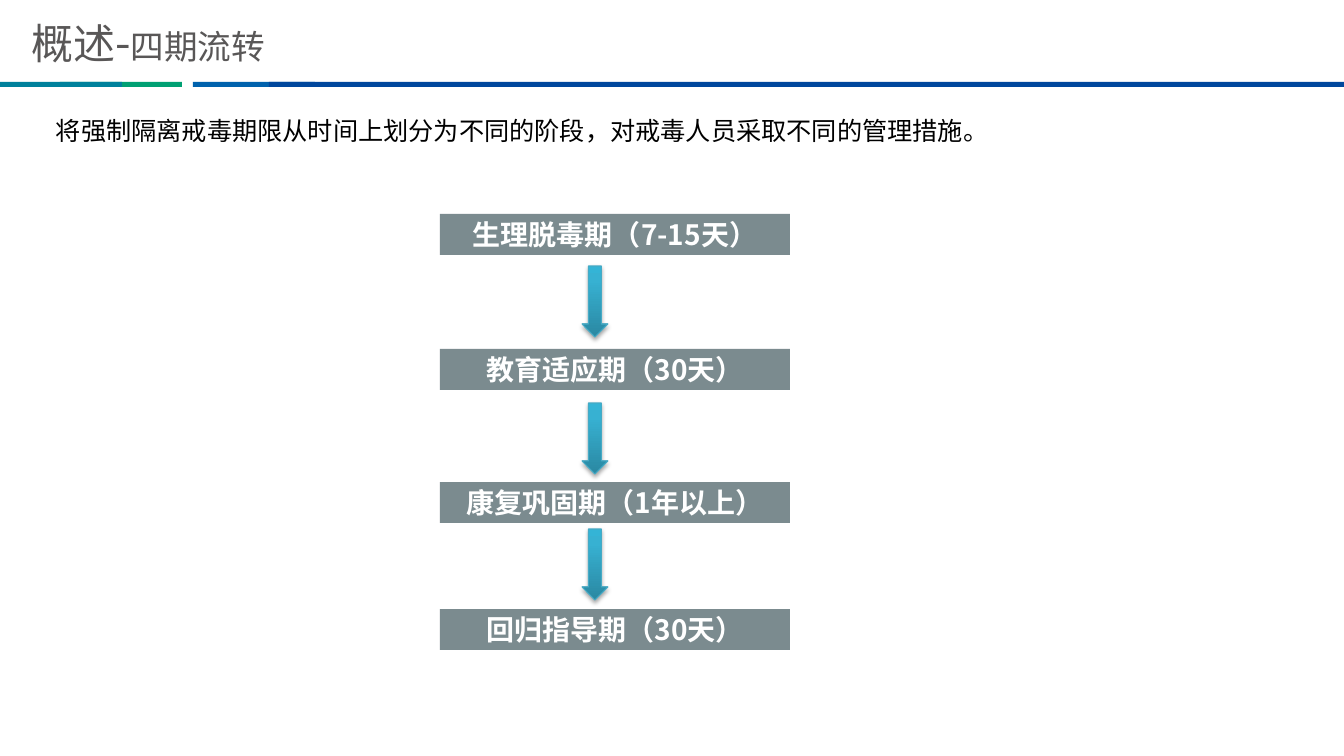
"""Builds the slide on the four phases of treatment."""
import copy

import pptx
import pptx.dml.color
import pptx.enum.shapes
import pptx.enum.text
import pptx.oxml
import pptx.oxml.ns
import pptx.util

RGB = pptx.dml.color.RGBColor
SHAPE = pptx.enum.shapes.MSO_SHAPE
ALIGN = pptx.enum.text.PP_ALIGN
ANCHOR = pptx.enum.text.MSO_ANCHOR
FIT = pptx.enum.text.MSO_AUTO_SIZE
qn = pptx.oxml.ns.qn

PX = 914400 / 100.8
CJK = "Noto Sans CJK SC"
GREEN = RGB(0x00, 0xA0, 0x73)
BLUE = RGB(0x00, 0x62, 0xAD)
NAVY = RGB(0x00, 0x47, 0x9D)
TEAL = RGB(0x00, 0x81, 0x9C)
GREY = RGB(0x59, 0x57, 0x57)
BLACK = RGB(0x00, 0x00, 0x00)
WHITE = RGB(0xFF, 0xFF, 0xFF)
SLATE = RGB(0x10, 0x2C, 0x34)
ARROW_LINE = RGB(0x46, 0xAA, 0xC5)
ARROW_STOPS = [(0, RGB(0x2A, 0x88, 0xA2)), (0.8, RGB(0x37, 0xB1, 0xD2)),
               (1, RGB(0x34, 0xB4, 0xD6))]
SHADOW = (
    f'<a:effectLst {pptx.oxml.ns.nsdecls("a")}>'
    '<a:outerShdw blurRad="39370" dist="22860" dir="5400000" rotWithShape="0">'
    '<a:srgbClr val="000000"><a:alpha val="35000"/></a:srgbClr>'
    '</a:outerShdw></a:effectLst>')

BARS = [(60, 122, GREEN), (193, 122, BLUE), (269, 1075, NAVY), (0, 122, TEAL)]
PHASES = [("生理脱毒期（7-15天）", 214), ("教育适应期（30天）", 349),
          ("康复巩固期（1年以上）", 482), ("回归指导期（30天）", 609)]
ARROW_TOPS = [266, 403, 529]


def emu(*lengths):
    """Turn px lengths into EMU."""
    return [pptx.util.Emu(round(n * PX)) for n in lengths]


def set_all(target, values):
    """Set attributes from a dict of format values."""
    for name, value in values.items():
        setattr(target, name, value)


def add_run(p, text, size, color, font=CJK, bold=False):
    """Add a formatted run with Latin and East Asian fonts."""
    r = p.add_run()
    r.text = text
    set_all(r.font, {"size": pptx.util.Pt(size), "name": font, "bold": bold})
    r.font.color.rgb = color
    ea = pptx.oxml.parse_xml(
        f'<a:ea {pptx.oxml.ns.nsdecls("a")} typeface="{CJK}"/>')
    r.font._element.find(qn("a:latin")).addnext(ea)


def add_rect(s, box, color):
    """Add a plain filled rectangle."""
    sp = s.shapes.add_shape(SHAPE.RECTANGLE, *emu(*box))
    sp.shadow.inherit = False
    sp.fill.solid()
    sp.fill.fore_color.rgb = color
    sp.line.fill.background()
    return sp


def add_title(s):
    """Place and fill the title."""
    sp = s.shapes.title
    set_all(sp, dict(zip(("left", "top", "width", "height"),
                         emu(21, 15, 603, 54))))
    tf = sp.text_frame
    set_all(tf, {"auto_size": FIT.NONE, "vertical_anchor": ANCHOR.MIDDLE})
    p = tf.paragraphs[0]
    p.alignment = ALIGN.LEFT
    for text, size in [("概述", 30), ("-", 32), ("四期流转", 24)]:
        add_run(p, text, size, GREY)


def add_intro(s, text):
    """Add the introductory sentence."""
    tf = s.shapes.add_textbox(*emu(46, 110, 1087, 40)).text_frame
    set_all(tf, {"word_wrap": True, "auto_size": FIT.SHAPE_TO_FIT_TEXT})
    add_run(tf.paragraphs[0], text, 18, BLACK, "Calibri")


def add_phase(s, text, top):
    """Add a translucent phase box with its label."""
    sp = add_rect(s, (440, top, 350, 41), SLATE)
    color = sp._element.spPr.find(".//" + qn("a:srgbClr"))
    color.append(pptx.oxml.parse_xml(
        f'<a:alpha {pptx.oxml.ns.nsdecls("a")} val="55000"/>'))
    tf = sp.text_frame
    tf.vertical_anchor = ANCHOR.MIDDLE
    p = tf.paragraphs[0]
    p.alignment = ALIGN.CENTER
    add_run(p, text, 20, WHITE, bold=True)


def add_arrow(s, top):
    """Add a down arrow with a gradient and a soft shadow."""
    sp = s.shapes.add_shape(SHAPE.DOWN_ARROW, *emu(582, top, 26, 71))
    sp.fill.gradient()
    sp.fill.gradient_angle = 90
    stops = sp._element.spPr.find(".//" + qn("a:gsLst"))
    stops.append(copy.deepcopy(stops[-1]))
    for stop, (position, color) in zip(sp.fill.gradient_stops, ARROW_STOPS):
        stop.position = position
        stop.color.rgb = color
    sp.line.color.rgb = ARROW_LINE
    sp.line.width = pptx.util.Pt(0.75)
    sp._element.spPr.append(pptx.oxml.parse_xml(SHADOW))


def main():
    """Build and save the slide."""
    prs = pptx.Presentation()
    prs.slide_width, prs.slide_height = emu(1344, 756)
    s = prs.slides.add_slide(prs.slide_layouts[5])
    for left, width, color in BARS:
        add_rect(s, (left, 82, width, 5), color)
    add_title(s)
    add_intro(s, "将强制隔离戒毒期限从时间上划分为不同的阶段，"
                 "对戒毒人员采取不同的管理措施。")
    for text, top in PHASES:
        add_phase(s, text, top)
    for top in ARROW_TOPS:
        add_arrow(s, top)
    prs.save("out.pptx")


if __name__ == "__main__":
    main()
